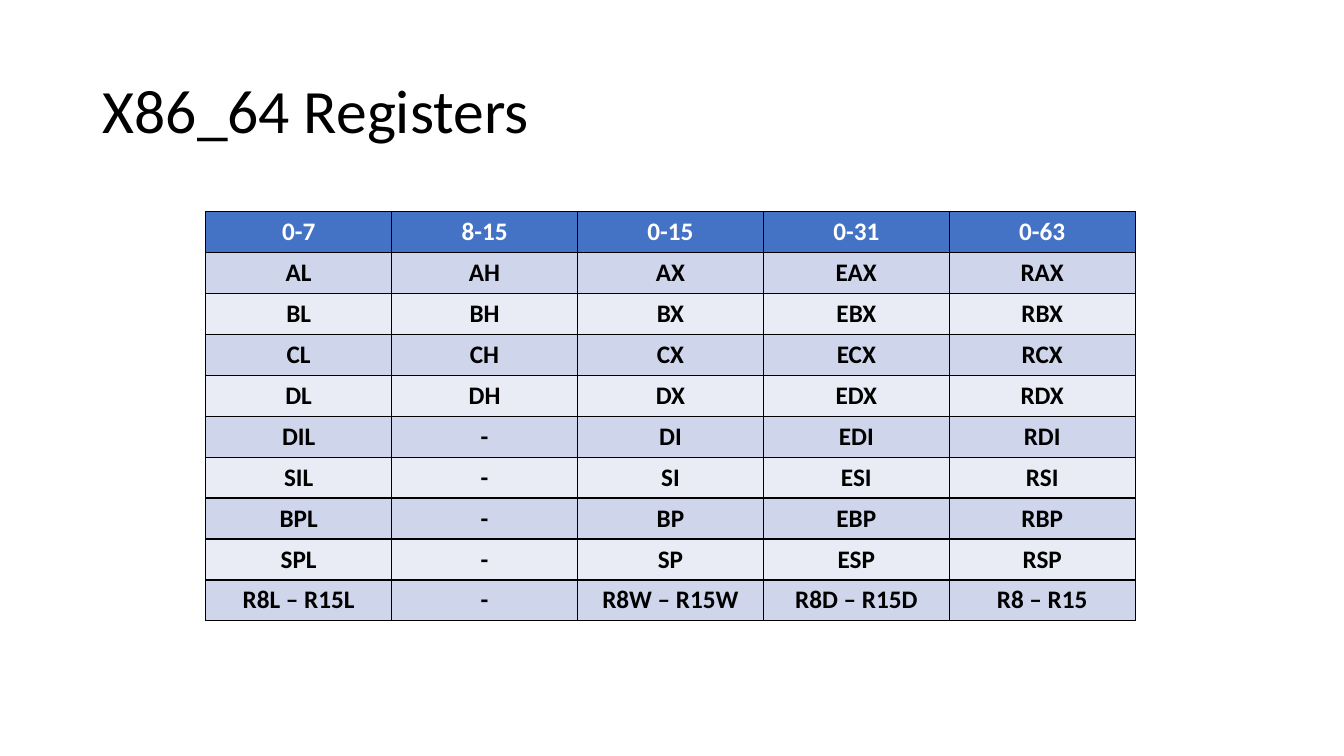
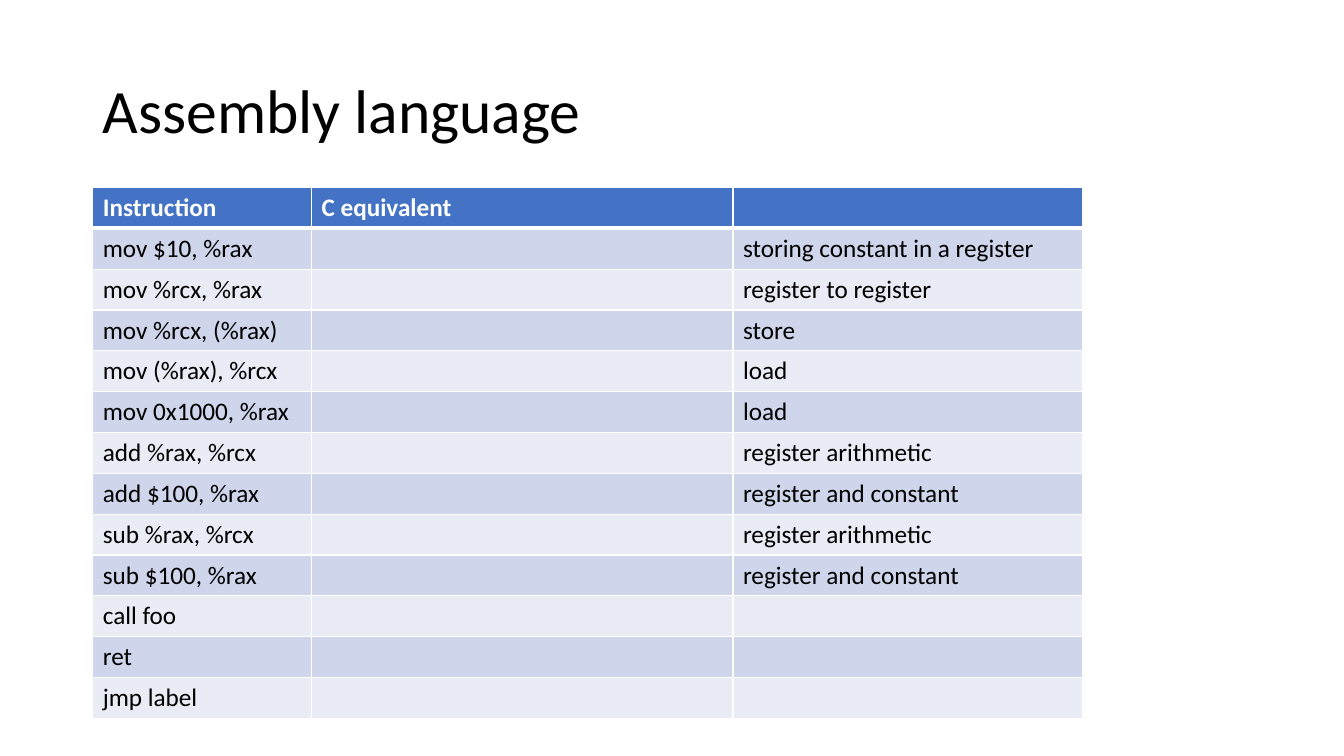
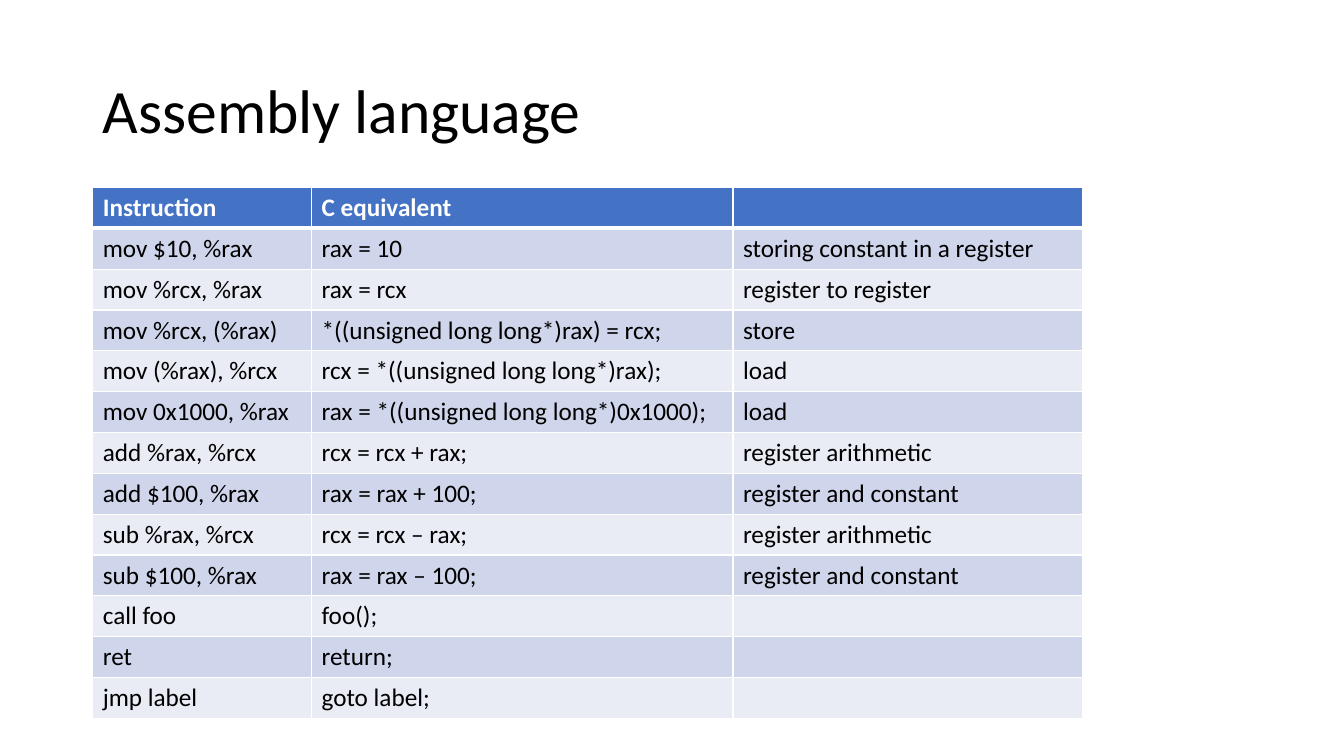
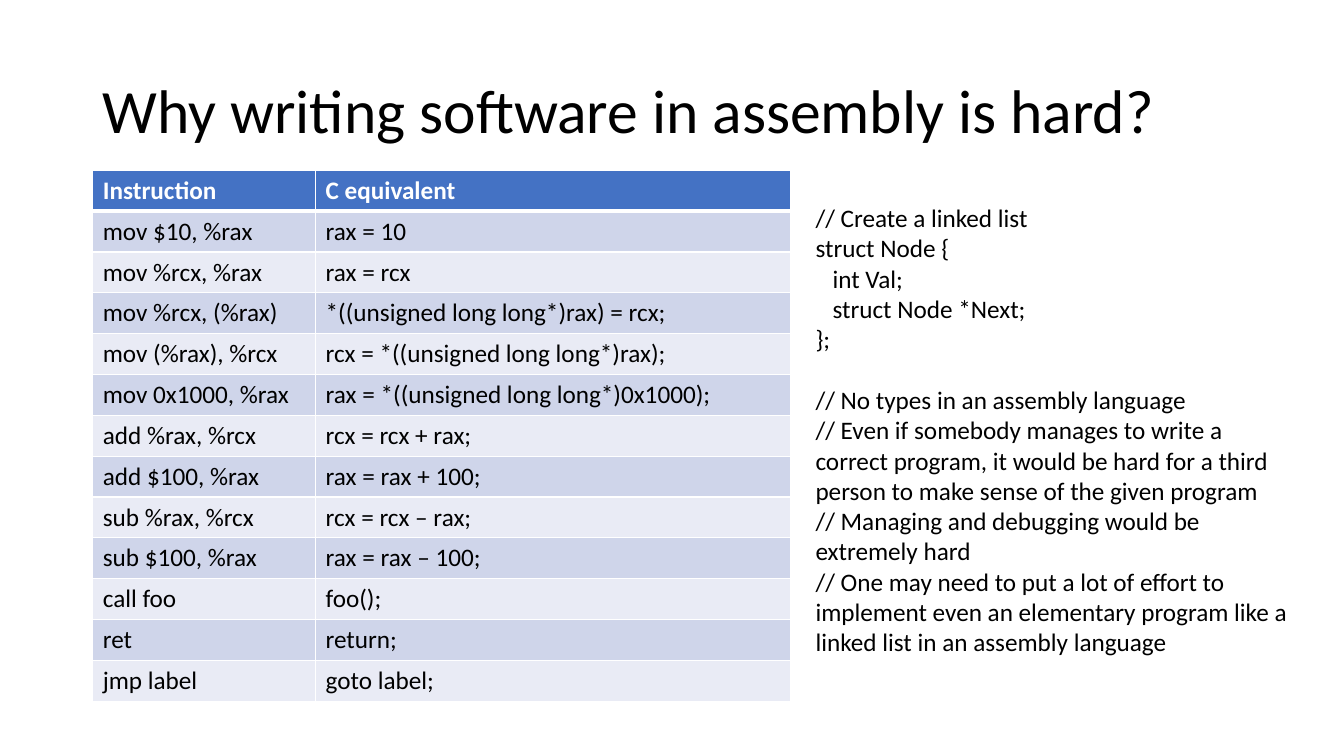
from dataclasses import dataclass

import lxml.etree
import pptx
import pptx.dml.color
import pptx.enum.text
import pptx.oxml.ns
import pptx.util

PX_PER_INCH = 100


@dataclass(frozen=True)
class Theme:
    font: str = "Calibri"
    title_size: int = 44
    body_size: int = 18
    text: str = "000000"
    background: str = "FFFFFF"
    header_text: str = "FFFFFF"
    header_fill: str = "4472C4"
    band_fills: tuple = ("CFD5EA", "E9EBF5")
    dark_border: str = "000000"
    light_border: str = "FFFFFF"
    border_width: int = 1
    header_rule_width: int = 3


THEME = Theme()

REGISTERS = [
    ("0-7", "8-15", "0-15", "0-31", "0-63"),
    ("AL", "AH", "AX", "EAX", "RAX"),
    ("BL", "BH", "BX", "EBX", "RBX"),
    ("CL", "CH", "CX", "ECX", "RCX"),
    ("DL", "DH", "DX", "EDX", "RDX"),
    ("DIL", "-", "DI", "EDI", "RDI"),
    ("SIL", "-", "SI", "ESI", "RSI"),
    ("BPL", "-", "BP", "EBP", "RBP"),
    ("SPL", "-", "SP", "ESP", "RSP"),
    ("R8L – R15L", "-", "R8W – R15W", "R8D – R15D", "R8 – R15"),
]

INSTRUCTIONS = [
    ("Instruction", "C equivalent", ""),
    ("mov $10, %rax", "rax = 10", "storing constant in a register"),
    ("mov %rcx, %rax", "rax = rcx", "register to register"),
    ("mov %rcx, (%rax)", "*((unsigned long long*)rax) = rcx;", "store"),
    ("mov (%rax), %rcx", "rcx = *((unsigned long long*)rax);", "load"),
    ("mov 0x1000, %rax", "rax = *((unsigned long long*)0x1000);", "load"),
    ("add %rax, %rcx", "rcx = rcx + rax;", "register arithmetic"),
    ("add $100, %rax", "rax = rax + 100;", "register and constant"),
    ("sub %rax, %rcx", "rcx = rcx – rax;", "register arithmetic"),
    ("sub $100, %rax", "rax = rax – 100;", "register and constant"),
    ("call foo", "foo();", ""),
    ("ret", "return;", ""),
    ("jmp label", "goto label;", ""),
]

LIST_CODE = [
    "// Create a linked list",
    "struct Node {",
    "   int Val;",
    "   struct Node *Next;",
    "};",
]

REMARKS = [
    "// No types in an assembly language",
    "// Even if somebody manages to write a correct program, it would be hard "
    "for a third person to make sense of the given program",
    "// Managing and debugging would be extremely hard",
    "// One may need to put a lot of effort to implement even an elementary "
    "program like a linked list in an assembly language",
]


def px(length):
    return pptx.util.Emu(length * pptx.util.Inches(1) // PX_PER_INCH)


def rgb(color):
    return pptx.dml.color.RGBColor.from_string(color)


def format_runs(paragraph, size, color=THEME.text, bold=False):
    for run in paragraph.runs:
        run.font.name = THEME.font
        run.font.size = pptx.util.Pt(size)
        run.font.bold = bold
        run.font.color.rgb = rgb(color)


def add_text(slide, box, lines, size):
    """Add a wrapping text box with one paragraph per line."""
    text_frame = slide.shapes.add_textbox(*map(px, box)).text_frame
    text_frame.word_wrap = True
    text_frame.text = "\n".join(lines)
    for paragraph in text_frame.paragraphs:
        format_runs(paragraph, size)
    return text_frame


def add_titled_slide(presentation, title):
    slide = presentation.slides.add_slide(presentation.slide_layouts[6])
    slide.background.fill.solid()
    slide.background.fill.fore_color.rgb = rgb(THEME.background)
    text_frame = add_text(slide, (92, 40, 1150, 145), [title], THEME.title_size)
    text_frame.vertical_anchor = pptx.enum.text.MSO_ANCHOR.MIDDLE
    text_frame.paragraphs[0].line_spacing = 0.9
    return slide


def set_borders(cell, color, **widths):
    """Draw the four cell borders; L, R, T or B overrides a width in points."""
    properties = cell._tc.get_or_add_tcPr()
    for position, side in enumerate("LRTB"):
        width = pptx.util.Pt(widths.get(side, THEME.border_width))
        line = lxml.etree.Element(pptx.oxml.ns.qn(f"a:ln{side}"), w=str(width))
        fill = lxml.etree.SubElement(line, pptx.oxml.ns.qn("a:solidFill"))
        lxml.etree.SubElement(fill, pptx.oxml.ns.qn("a:srgbClr"), val=color)
        properties.insert(position, line)


def add_banded_table(slide, box, rows, column_widths=(), border=THEME.light_border,
                     header_rule=THEME.header_rule_width, bold=False, align=None):
    """Add a table with a header row; columns are equal unless widths are given."""
    table = slide.shapes.add_table(len(rows), len(rows[0]), *map(px, box)).table
    table.horz_banding = False
    for column, width in zip(table.columns, column_widths):
        column.width = px(width)
    for row_index, row in enumerate(rows):
        is_header = row_index == 0
        fill = THEME.header_fill if is_header else THEME.band_fills[(row_index - 1) % 2]
        color = THEME.header_text if is_header else THEME.text
        rule_side = {0: "B", 1: "T"}.get(row_index)
        rule = {rule_side: header_rule} if rule_side else {}
        for column_index, text in enumerate(row):
            cell = table.cell(row_index, column_index)
            cell.fill.solid()
            cell.fill.fore_color.rgb = rgb(fill)
            set_borders(cell, border, **rule)
            paragraph = cell.text_frame.paragraphs[0]
            paragraph.text = text
            paragraph.alignment = align
            format_runs(paragraph, THEME.body_size, color, bold or is_header)


def add_registers_slide(presentation):
    slide = add_titled_slide(presentation, "X86_64 Registers")
    add_banded_table(slide, (204, 210, 922, 406), REGISTERS,
                     border=THEME.dark_border, header_rule=THEME.border_width,
                     bold=True, align=pptx.enum.text.PP_ALIGN.CENTER)


def add_instructions_slide(presentation, rows):
    slide = add_titled_slide(presentation, "Assembly language")
    add_banded_table(slide, (92, 186, 982, 527), rows, (217, 418, 347))


def add_difficulty_slide(presentation):
    slide = add_titled_slide(presentation, "Why writing software in assembly is hard?")
    text_frame = add_text(slide, (799, 196, 498, 525), LIST_CODE + REMARKS,
                          THEME.body_size)
    text_frame.paragraphs[len(LIST_CODE)].space_before = pptx.util.Pt(22)
    rows = [row[:2] for row in INSTRUCTIONS]
    add_banded_table(slide, (92, 169, 692, 527), rows, (221, 471))


def main():
    presentation = pptx.Presentation()
    presentation.slide_width = px(1333)
    presentation.slide_height = px(750)
    header, *body = INSTRUCTIONS
    unanswered = [header] + [(code, "", note) for code, _, note in body]

    add_registers_slide(presentation)
    add_instructions_slide(presentation, unanswered)
    add_instructions_slide(presentation, INSTRUCTIONS)
    add_difficulty_slide(presentation)
    presentation.save("out.pptx")


if __name__ == "__main__":
    main()
